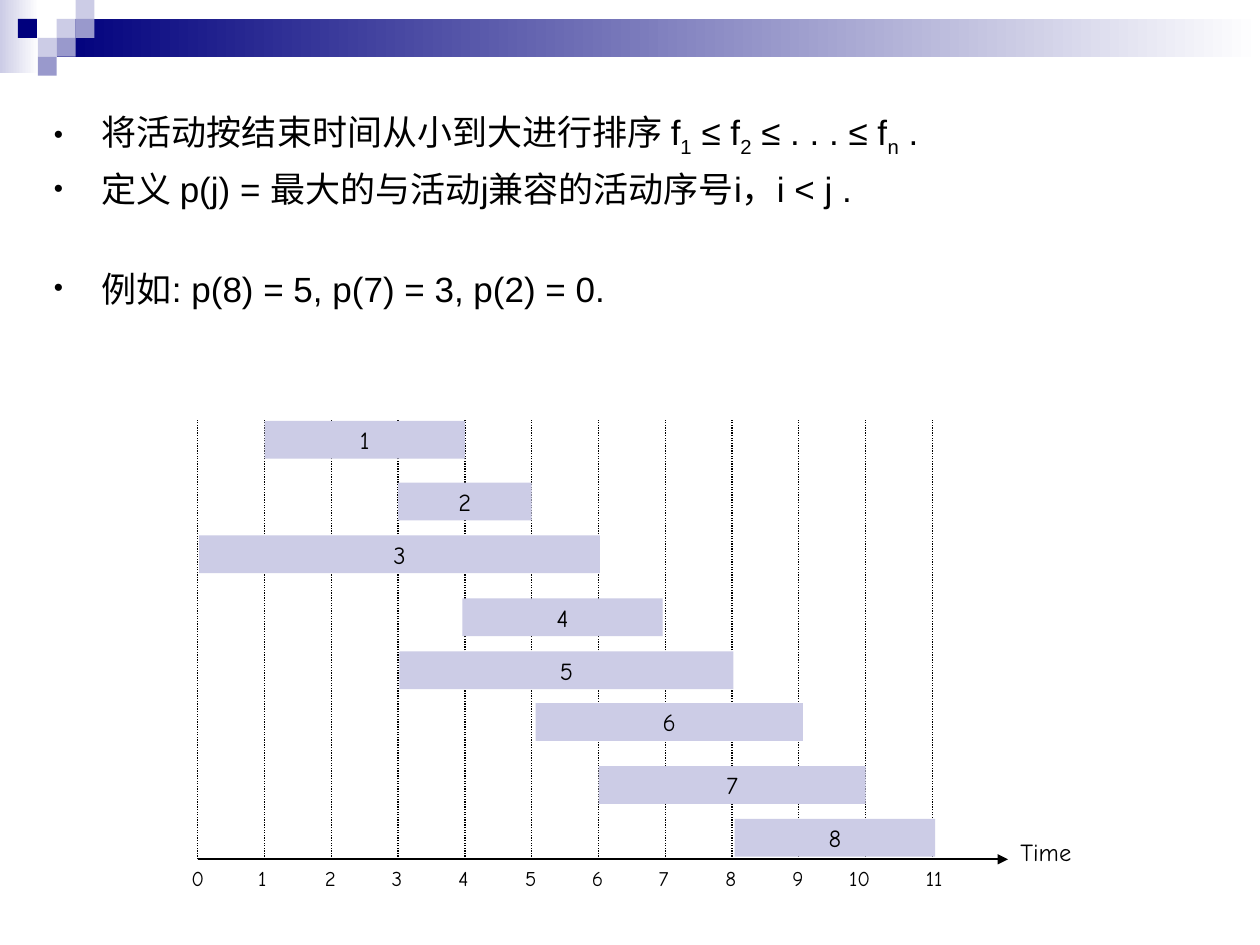
"""Build the weighted interval scheduling slide: sorted activities on a time grid."""
from lxml.etree import SubElement
from pptx import Presentation
from pptx.dml.color import RGBColor
from pptx.enum.dml import MSO_LINE
from pptx.enum.shapes import MSO_CONNECTOR, MSO_SHAPE
from pptx.enum.text import MSO_ANCHOR, PP_ALIGN
from pptx.oxml import parse_xml
from pptx.oxml.ns import nsdecls, qn
from pptx.util import Inches, Pt

BLACK = RGBColor(0x00, 0x00, 0x00)
WHITE = RGBColor(0xFF, 0xFF, 0xFF)
NAVY = RGBColor(0x00, 0x00, 0x7D)
LAVENDER = RGBColor(0xCC, 0xCC, 0xE6)
PERIWINKLE = RGBColor(0x99, 0x99, 0xCC)

SQUARE = 0.15
ORIGIN, UNIT, HOURS = 1.57, 0.53, 11
GRID_TOP, AXIS_Y, AXIS_END = 3.33, 6.82, 8
BAR_HEIGHT = 0.3

presentation = Presentation()
presentation.slide_width, presentation.slide_height = Inches(10), Inches(7.5)
slide = presentation.slides.add_slide(presentation.slide_layouts[6])


def add_box(left, top, width, height, color, fade_to=None):
    box = slide.shapes.add_shape(
        MSO_SHAPE.RECTANGLE, Inches(left), Inches(top), Inches(width), Inches(height))
    box.shadow.inherit = False
    box.line.fill.background()
    if fade_to is None:
        box.fill.solid()
        box.fill.fore_color.rgb = color
    else:
        box.fill.gradient()
        box.fill.gradient_angle = 0
        for stop, stop_color in zip(box.fill.gradient_stops, (color, fade_to)):
            stop.color.rgb = stop_color
    return box


def write(paragraph, text, size, font_name="Comic Neue"):
    paragraph.font.size = Pt(size)
    paragraph.font.name = font_name
    paragraph.font.color.rgb = BLACK
    for index, piece in enumerate(text.split("_")):
        run = paragraph.add_run()
        run.text = piece
        if index % 2:
            run._r.get_or_add_rPr().set("baseline", "-25000")


add_box(0, 0, 0.31, 0.58, LAVENDER, WHITE)
add_box(3 * SQUARE, SQUARE, 10 - 3 * SQUARE, 2 * SQUARE, NAVY, WHITE)
for column, row, color in [
    (3, 1, LAVENDER), (4, 0, LAVENDER), (4, 1, PERIWINKLE), (2, 2, LAVENDER),
    (0.95, 1, NAVY), (3, 2, PERIWINKLE), (2, 3, PERIWINKLE),
]:
    add_box(column * SQUARE, row * SQUARE, SQUARE, SQUARE, color)

body = slide.shapes.add_textbox(Inches(0.33), Inches(0.83), Inches(9), Inches(2.17))
body.text_frame.word_wrap = True
statements = [
    ("将活动按结束时间从小到大进行排序 f_1_ ≤ f_2_ ≤ . . . ≤ f_n_ .", 0),
    ("定义 p(j) = 最大的与活动j兼容的活动序号i，i < j .", 5),
    ("例如: p(8) = 5, p(7) = 3, p(2) = 0.", 33),
]
for index, (text, space_before) in enumerate(statements):
    paragraph = body.text_frame.add_paragraph() if index else body.text_frame.paragraphs[0]
    properties = paragraph._p.get_or_add_pPr()
    properties.set("marL", str(Inches(0.38)))
    properties.set("indent", str(-Inches(0.38)))
    paragraph.space_before = Pt(space_before)
    bullet_color = SubElement(properties, qn("a:buClr"))
    SubElement(bullet_color, qn("a:srgbClr"), val=str(BLACK))
    SubElement(properties, qn("a:buSzPct"), val="75000")
    SubElement(properties, qn("a:buFont"), typeface="Arial")
    SubElement(properties, qn("a:buChar"), char="•")
    write(paragraph, text, 20, "Arial")

ticks = [ORIGIN + UNIT * hour for hour in range(HOURS + 1)]
lines = [(ORIGIN, AXIS_END, AXIS_Y)] + [(x, x, GRID_TOP) for x in ticks]
for index, (start_x, end_x, end_y) in enumerate(lines):
    connector = slide.shapes.add_connector(
        MSO_CONNECTOR.STRAIGHT, Inches(start_x), Inches(AXIS_Y), Inches(end_x), Inches(end_y))
    connector.line.color.rgb = BLACK
    if index:
        connector.line.width = Pt(0.75)
        connector.line.dash_style = MSO_LINE.ROUND_DOT
    else:
        connector.line.width = Pt(1.25)
        connector.line._get_or_add_ln().append(
            parse_xml(f'<a:tailEnd {nsdecls("a")} type="triangle"/>'))
    SubElement(connector._element.spPr, qn("a:effectLst"))

label_shift = {10: 0.23}
labels = [("Time", AXIS_END, 6.59, 0.83, 0.33, 14)]
labels += [(str(hour), x - label_shift.get(hour, 0.15), AXIS_Y, 0.46, 0.3, 12)
           for hour, x in enumerate(ticks)]
for text, left, top, width, height, size in labels:
    label = slide.shapes.add_textbox(Inches(left), Inches(top), Inches(width), Inches(height))
    label.text_frame.word_wrap = True
    write(label.text_frame.paragraphs[0], text, size)

activities = [
    (1, 3, 3.34), (3, 2, 3.83), (0.02, 6, 4.25), (3.96, 3, 4.75),
    (3.02, 5, 5.17), (5.06, 4, 5.58), (6, 4, 6.08), (8.04, 3, 6.5),
]
for number, (start, duration, top) in enumerate(activities, 1):
    bar = add_box(ORIGIN + UNIT * start, top, UNIT * duration, BAR_HEIGHT, LAVENDER)
    bar.text_frame.word_wrap = False
    bar.text_frame.vertical_anchor = MSO_ANCHOR.MIDDLE
    paragraph = bar.text_frame.paragraphs[0]
    paragraph.alignment = PP_ALIGN.CENTER
    write(paragraph, str(number), 14)

presentation.save("out.pptx")
